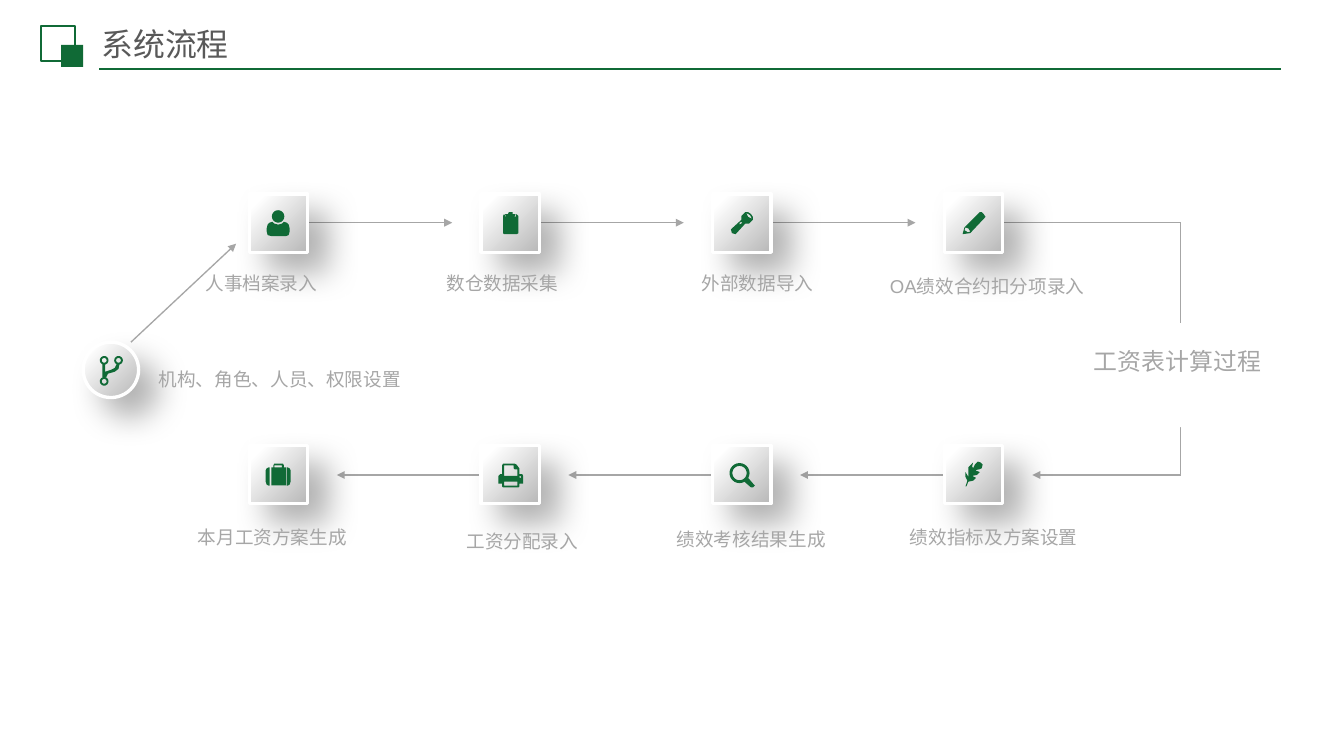
from math import cos, pi, sin

from lxml import etree
from pptx import Presentation
from pptx.dml.color import RGBColor
from pptx.enum.shapes import MSO_CONNECTOR, MSO_SHAPE
from pptx.enum.text import MSO_ANCHOR, MSO_AUTO_SIZE, PP_ALIGN
from pptx.oxml.ns import qn
from pptx.util import Inches, Pt

RECT = MSO_SHAPE.RECTANGLE
ROUNDED = MSO_SHAPE.ROUNDED_RECTANGLE
OVAL = MSO_SHAPE.OVAL
STRAIGHT = MSO_CONNECTOR.STRAIGHT
TOP, MIDDLE = MSO_ANCHOR.TOP, MSO_ANCHOR.MIDDLE
LEFT, CENTER = PP_ALIGN.LEFT, PP_ALIGN.CENTER
GROW = MSO_AUTO_SIZE.SHAPE_TO_FIT_TEXT

COLORS = {"green": "106A36", "gray": "A6A6A6", "title": "595959",
          "white": "FFFFFF", "tile_dark": "B8B8B8", "shadow": "000000"}
TILE = 0.61
FIRST_X, LAST_X = 2.61, 9.88
COLUMNS = [FIRST_X + i * (LAST_X - FIRST_X) / 3 for i in range(4)]
ENTRY_Y, RESULT_Y = 2.03, 4.66
ENTRY_LINE, RESULT_LINE = 2.33, 4.97
ARROW = 1.51
TURN_X = 12.35


def circle(x, y, radius):
    return [(x + radius * cos(i * pi / 12), y + radius * sin(i * pi / 12)) for i in range(24)]


PERSON = [
    [circle(30, 23.5, 6.5)],
    [[(42, 36), (41, 32), (39, 30), (36, 29), (34, 31), (30, 32), (26, 31), (24, 29), (21, 30),
      (19, 32), (18, 36), (18, 39), (19, 43), (23, 44), (38, 44), (41, 43), (42, 39)]],
]
CLIPBOARD = [
    [[(37, 21), (36, 24), (26, 24), (24, 21), (23, 23), (23, 41), (24, 42), (37, 42),
      (39, 41), (39, 23)]],
    [[(35, 24), (36, 21), (33, 21), (33, 19), (29, 19), (28, 21), (25, 21), (26, 24)]],
]
FLASHLIGHT = [[
    [(40, 21), (37, 19), (34, 19), (30, 23), (30, 27), (19, 37), (20, 41), (24, 42),
     (34, 31), (38, 31), (42, 27), (42, 24)],
    [(37, 24), (35, 20), (39, 22), (41, 26)],
    [(28, 32), (28, 30), (31, 29), (30, 31)],
]]
PENCIL = [[
    [(41, 21), (39, 19), (37, 19), (21, 35), (19, 42), (27, 41), (43, 24)],
    [(26, 40), (24, 40), (23, 39), (21, 38), (22, 35), (25, 36), (27, 39)],
]]
BRIEFCASE = [
    [[(18, 24), (17, 26), (17, 38), (18, 41), (20, 42), (21, 42), (21, 23), (20, 23)]],
    [[(36, 21), (35, 19), (26, 19), (25, 21), (25, 23), (23, 23), (23, 42), (38, 42),
      (38, 23), (36, 23)], [(34, 23), (26, 23), (26, 21), (34, 21)]],
    [[(42, 24), (40, 23), (39, 23), (39, 42), (40, 42), (42, 41), (43, 38), (43, 26)]],
]
PRINTER = [[
    [(43, 30), (40, 30), (40, 24), (37, 20), (35, 19), (23, 19), (22, 21), (22, 30), (20, 30),
     (18, 32), (18, 40), (22, 40), (22, 43), (23, 44), (39, 44), (40, 43), (40, 40), (44, 40),
     (44, 32)],
    [(38, 32), (24, 32), (24, 21), (34, 21), (34, 24), (35, 25), (38, 25)],
    [(38, 42), (24, 42), (24, 38), (38, 38)],
    circle(41, 33, 1),
]]
MAGNIFIER = [
    [circle(28, 29, 10.5), circle(28, 29, 7.5)],
    [[(37, 34), (43, 41), (44, 42), (42, 44), (40, 44), (33, 38)]],
]
FEATHER = [[
    [(23, 43), (25, 38), (30, 37), (33, 34), (29, 32), (34, 31), (37, 28), (32, 26), (37, 25),
     (39, 24), (40, 20), (38, 18), (35, 17), (32, 20), (30, 24), (29, 22), (30, 18), (25, 23),
     (25, 33), (22, 28), (22, 33), (24, 37), (22, 43)],
]]
BRANCH = [[circle(x, y, 4.5), circle(x, y, 2.5)] for x, y in ((22, 19), (37, 19), (22, 41))] + [
    [[(20, 23), (23, 23), (23, 31), (29, 29), (33, 27), (35, 23), (38, 23), (37, 28),
      (33, 31), (26, 33), (24, 37), (20, 37)]],
]

STEPS = [
    (0, ENTRY_Y, PERSON, "人事档案录入", (2.15, 2.8, 1.39)),
    (1, ENTRY_Y, CLIPBOARD, "数仓数据采集", (4.67, 2.8, 1.58)),
    (2, ENTRY_Y, FLASHLIGHT, "外部数据导入", (7.34, 2.8, 1.35)),
    (3, ENTRY_Y, PENCIL, "OA绩效合约扣分项录入", (9.31, 2.83, 2.49)),
    (0, RESULT_Y, BRIEFCASE, "本月工资方案生成", (2.07, 5.46, 1.75)),
    (1, RESULT_Y, PRINTER, "工资分配录入", (4.88, 5.5, 1.18)),
    (2, RESULT_Y, MAGNIFIER, "绩效考核结果生成", (7.08, 5.48, 1.75)),
    (3, RESULT_Y, FEATHER, "绩效指标及方案设置", (9.52, 5.46, 1.93)),
]


def rgb(name):
    return RGBColor.from_string(COLORS[name])


def write(shape, text, size=14, color="gray", align=LEFT, anchor=TOP,
          insets=(0, 0, 0, 0), spacing=1.0, before=0):
    frame = shape.text_frame
    frame.word_wrap = True
    frame.vertical_anchor = anchor
    frame.margin_left, frame.margin_top, frame.margin_right, frame.margin_bottom = map(Inches, insets)
    paragraph = frame.paragraphs[0]
    paragraph.alignment = align
    paragraph.line_spacing = spacing
    paragraph.space_before = Pt(before)
    run = paragraph.add_run()
    run.text = text
    run.font.size = Pt(size)
    run.font.name = "Arial"
    run.font.color.rgb = rgb(color)


def add_label(slide, text, place):
    label = slide.shapes.add_textbox(*map(Inches, (*place, 0.28)))
    write(label, text, spacing=1.2, before=2.8)
    label.text_frame.auto_size = GROW


def add_block(shapes, kind, place, fill=None, line=None, width=1):
    block = shapes.add_shape(kind, *map(Inches, place))
    block.shadow.inherit = False
    if fill:
        block.fill.solid()
        block.fill.fore_color.rgb = rgb(fill)
    else:
        block.fill.background()
    if line:
        block.line.color.rgb = rgb(line)
        block.line.width = Pt(width)
    else:
        block.line.fill.background()
    return block


def add_line(slide, start, end, color="gray", width=1, arrow=False):
    line = slide.shapes.add_connector(STRAIGHT, *map(Inches, (*start, *end)))
    line.line.color.rgb = rgb(color)
    line.line.width = Pt(width)
    properties = line._element.spPr
    if arrow:
        etree.SubElement(properties.find(qn("a:ln")), qn("a:tailEnd"), type="triangle")
    etree.SubElement(properties, qn("a:effectLst"))


def cast_shadow(shape):
    effects = shape._element.spPr.find(qn("a:effectLst"))
    shadow = etree.SubElement(effects, qn("a:outerShdw"), blurRad=str(Pt(24)), dist=str(Pt(20)),
                              dir="2700000", algn="tl", rotWithShape="0")
    color = etree.SubElement(shadow, qn("a:srgbClr"), val=COLORS["shadow"])
    etree.SubElement(color, qn("a:alpha"), val="30000")


def add_icon_tile(slide, kind, x, y, size, icon):
    shapes = slide.shapes.add_group_shape().shapes
    tile = add_block(shapes, kind, (x, y, size, size), line="white", width=2.5)
    tile.fill.gradient()
    tile.fill.gradient_angle = 315
    for stop, position, color in zip(tile.fill.gradient_stops, (0.13, 1), ("white", "tile_dark")):
        stop.position = position
        stop.color.rgb = rgb(color)
    cast_shadow(tile)
    for piece in icon:
        outlines = [[(Inches(px / 100), Inches(py / 100)) for px, py in outline] for outline in piece]
        builder = shapes.build_freeform(*outlines[0][0])
        for outline in outlines:
            builder.move_to(*outline[0])
            builder.add_line_segments(outline[1:], close=True)
        glyph = builder.convert_to_shape(Inches(x), Inches(y))
        glyph.shadow.inherit = False
        glyph.fill.solid()
        glyph.fill.fore_color.rgb = rgb("green")
        glyph.line.fill.background()


def add_header(slide):
    add_line(slide, (1.04, 0.72), (13.4, 0.72), color="green", width=1.25)
    add_block(slide.shapes, RECT, (0.43, 0.27, 0.36, 0.37), line="green", width=1.5)
    add_block(slide.shapes, RECT, (0.64, 0.47, 0.23, 0.23), fill="green")
    title = slide.shapes.add_textbox(*map(Inches, (0.99, 0.29, 5.25, 0.39)))
    write(title, "系统流程", size=24, color="title", anchor=MIDDLE,
          insets=(0.07, 0.04, 0.07, 0.04), spacing=0.9)


def add_flow_lines(slide):
    for left, right in zip(COLUMNS, COLUMNS[1:]):
        start = left + TILE
        add_line(slide, (start, ENTRY_LINE), (start + ARROW, ENTRY_LINE), arrow=True)
        add_line(slide, (right, RESULT_LINE), (right - ARROW, RESULT_LINE), arrow=True)
    add_line(slide, (LAST_X + TILE, ENTRY_LINE), (TURN_X, ENTRY_LINE))
    add_line(slide, (TURN_X, ENTRY_LINE), (TURN_X, RESULT_LINE))
    add_line(slide, (TURN_X, RESULT_LINE), (10.8, RESULT_LINE), arrow=True)


def main():
    deck = Presentation()
    deck.slide_width, deck.slide_height = Inches(14.06), Inches(7.91)
    slide = deck.slides.add_slide(deck.slide_layouts[6])
    add_header(slide)
    add_flow_lines(slide)
    for column, y, icon, text, place in STEPS:
        add_icon_tile(slide, RECT, COLUMNS[column], y, TILE, icon)
        add_label(slide, text, place)
    calculation = add_block(slide.shapes, ROUNDED, (10.77, 3.38, 3.1, 1.09), fill="white")
    write(calculation, "工资表计算过程", size=18, align=CENTER, anchor=MIDDLE,
          insets=(0.1, 0.05, 0.1, 0.34))
    add_icon_tile(slide, OVAL, 0.87, 3.58, 0.58, BRANCH)
    add_label(slide, "机构、角色、人员、权限设置", (1.66, 3.8, 2.71))
    add_line(slide, (1.37, 3.58), (2.47, 2.55), arrow=True)
    deck.save("out.pptx")


if __name__ == "__main__":
    main()
